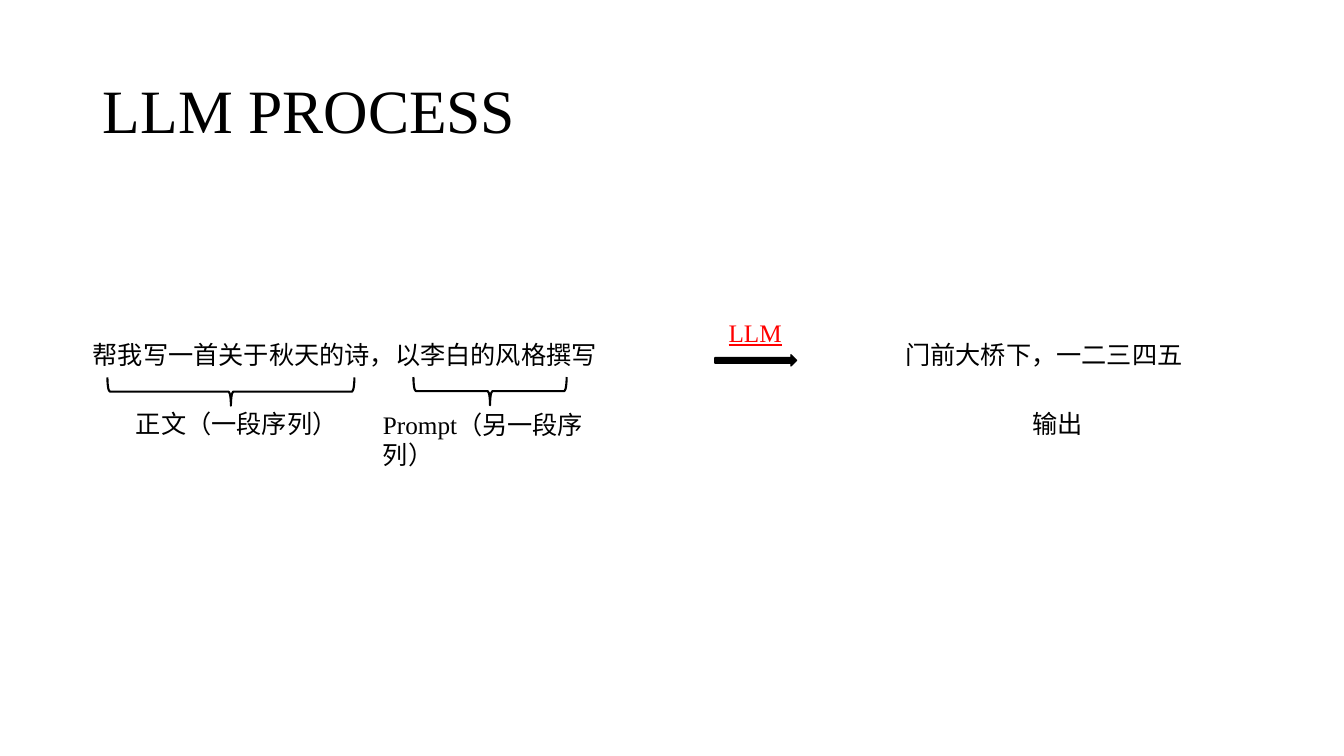
from pptx import Presentation, util as u
from pptx.dml.color import RGBColor
from pptx.enum import shapes, text

PX = 9144
HUES = {"ink": "000000", "red": "FF0000"}
FACE = "Times New Roman"
KIND = shapes.MSO_SHAPE
ALIGN = text.PP_ALIGN
MID = text.MSO_ANCHOR.MIDDLE


def px(*nums):
    return [u.Emu(n * PX) for n in nums]


def hue(name):
    return RGBColor.from_string(HUES[name])


def apply(item, form):
    for key, val in form.items():
        setattr(item, key, val)


def write(frame, words, size=18, tint="ink", line=None, align=ALIGN.LEFT, **form):
    apply(frame, {"word_wrap": True, "auto_size": text.MSO_AUTO_SIZE.NONE})
    par = frame.paragraphs[0]
    apply(par, {"alignment": align, "line_spacing": line})
    run = par.add_run()
    run.text = words
    apply(run.font, {"name": FACE, "size": u.Pt(size), **form})
    run.font.color.rgb = hue(tint)


def title(slide, words, box):
    head = slide.shapes.title
    apply(head, dict(zip(("left", "top", "width", "height"), px(*box))))
    head.text_frame.vertical_anchor = MID
    write(head.text_frame, words, size=44, line=0.9)


def label(slide, words, box, anchor=text.MSO_ANCHOR.TOP, **form):
    frame = slide.shapes.add_textbox(*px(*box)).text_frame
    frame.vertical_anchor = anchor
    write(frame, words, **form)


def turned(slide, kind, box, angle, width, solid=False):
    shape = slide.shapes.add_shape(kind, *px(*box))
    shape.rotation = angle
    shape.shadow.inherit = False
    if solid:
        shape.fill.solid()
        shape.fill.fore_color.rgb = hue("ink")
    else:
        shape.fill.background()
    shape.line.color.rgb = hue("ink")
    shape.line.width = u.Pt(width)


def main():
    deck = Presentation()
    deck.slide_width, deck.slide_height = px(1333, 750)
    slide = deck.slides.add_slide(deck.slide_layouts[5])

    title(slide, "LLM PROCESS", (92, 40, 1150, 145))
    for box in ((215, 266, 28, 245), (472, 312, 28, 152)):
        turned(slide, KIND.RIGHT_BRACE, box, 90, 1.5)
    turned(slide, KIND.DOWN_ARROW, (744, 317, 11, 81), 270, 1, solid=True)

    for words, box in (
        ("帮我写一首关于秋天的诗，以李白的风格撰写", (82, 332, 552, 40)),
        ("正文（一段序列）", (125, 400, 452, 40)),
        ("Prompt（另一段序列）", (370, 401, 264, 40)),
        ("门前大桥下，一二三四五", (888, 332, 309, 40)),
        ("输出", (1014, 400, 172, 40)),
    ):
        label(slide, words, box)
    label(slide, "LLM", (649, 302, 200, 59), MID, tint="red", line=0.9,
          align=ALIGN.CENTER, underline=True)

    deck.save("out.pptx")


if __name__ == "__main__":
    main()
